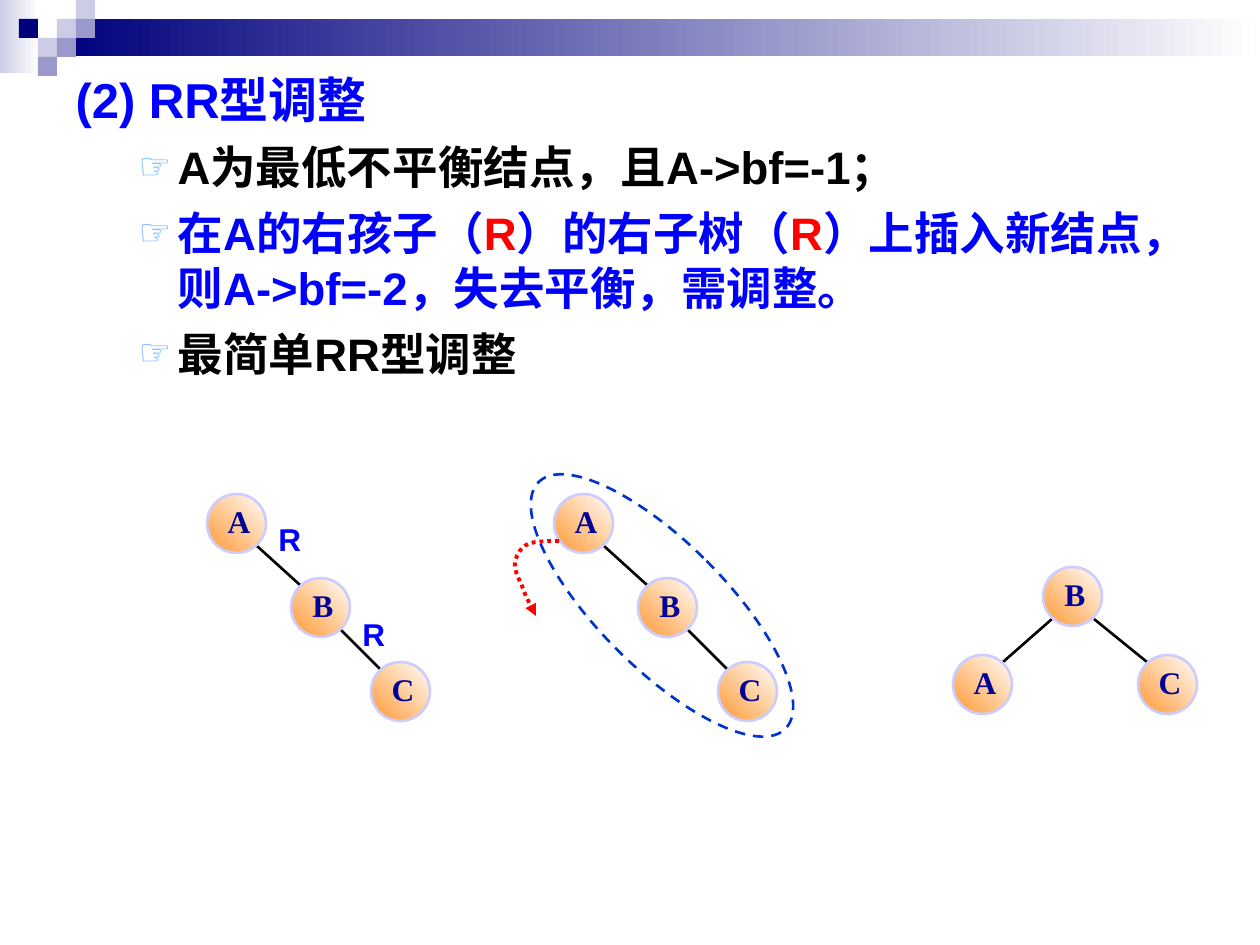
from lxml.etree import SubElement
from pptx import Presentation
from pptx.dml.color import RGBColor
from pptx.enum.dml import MSO_LINE
from pptx.enum.shapes import MSO_CONNECTOR, MSO_SHAPE as SHAPE
from pptx.enum.text import MSO_ANCHOR, MSO_AUTO_SIZE, PP_ALIGN
from pptx.oxml.ns import qn
from pptx.util import Emu, Pt

SCALE = 914400 / 126


def px(*lengths):
    """Turn pixel lengths into a list of EMU."""
    return [Emu(round(v * SCALE)) for v in lengths]


def color(target, *hexes):
    """Give a font, line or fill one colour, or a fill a gradient of two."""
    if len(hexes) == 2:
        target.gradient()
        for stop, value in zip(target.gradient_stops, hexes):
            stop.color.rgb = RGBColor.from_string(value)
        for stop, position in zip(target.gradient_stops, (0, 1)):
            stop.position = position
        return
    if hasattr(target, "solid"):
        target.solid()
    place = target.fore_color if hasattr(target, "fore_color") else target.color
    place.rgb = RGBColor.from_string(hexes[0])


prs = Presentation()
prs.slide_width, prs.slide_height = px(1260, 945)
s = prs.slides.add_slide(prs.slide_layouts[1])
title = s.shapes.title
title.element.getparent().remove(title.element)
body = s.placeholders[1]

# Header: two fading bands and a mosaic on a 19 px grid
NAVY, MID, LIGHT, WHITE = "00007D", "9999CC", "CCCCE6", "FFFFFF"
header = [((0, 0, 39, 73), (LIGHT, WHITE)), ((57, 19, 1203, 37), (NAVY, WHITE))]
for col, row, shade in [(3, 1, LIGHT), (4, 0, LIGHT), (4, 1, MID), (2, 2, LIGHT),
                        (1, 1, NAVY), (3, 2, MID), (2, 3, MID)]:
    header.append(((col * 19, row * 19, 19, 19), (shade,)))
for box, shades in header:
    sp = s.shapes.add_shape(SHAPE.RECTANGLE, *px(*box))
    sp.shadow.inherit = False
    color(sp.fill, *shades)
    if len(shades) == 2:
        sp.fill.gradient_angle = 0
    sp.line.fill.background()

# Body text
BLUE, RED, BLACK = "0000FF", "FF0000", "000000"
paragraphs = [
    [("(2) RR型调整", BLUE)],
    [("A为最低不平衡结点，且A->bf=-1；", BLACK)],
    [("在A的右孩子（", BLUE), ("R", RED), ("）的右子树（", BLUE), ("R", RED),
     ("）上插入新结点，则A->bf=-2，失去平衡，需调整。", BLUE)],
    [("最简单RR型调整", BLACK)],
]
body.left, body.top, body.width, body.height = px(63, 63, 1134, 882)
tf = body.text_frame
tf.word_wrap = True
tf.auto_size = MSO_AUTO_SIZE.NONE
for i, runs in enumerate(paragraphs):
    p = tf.add_paragraph() if i else tf.paragraphs[0]
    pPr = p._p.get_or_add_pPr()
    left, hang = px(102, -39) if i else px(48, -48)
    pPr.set("marL", str(left))
    pPr.set("indent", str(hang))
    if i:
        p.level = 1
        SubElement(SubElement(pPr, qn("a:buClr")), qn("a:srgbClr"), val="67AFFF")
        SubElement(pPr, qn("a:buSzPct"), val="80000")
        SubElement(pPr, qn("a:buChar"), char="☞")
    else:
        SubElement(pPr, qn("a:buNone"))
    p.space_before = Pt(6.5 if i else 0)
    for text, shade in runs:
        r = p.add_run()
        r.text = text
        r.font.name, r.font.size, r.font.bold = "Arial", Pt(26 if i else 28), True
        color(r.font, shade)

# Trees: the unbalanced chain twice, then the balanced result
chain_nodes = [("A", 207, 494), ("B", 291, 578), ("C", 371, 662)]
chain_edges = [(300, 585, 257, 546), (380, 669, 341, 630)]
result_nodes = [("A", 953, 655), ("B", 1043, 567), ("C", 1138, 655)]
result_edges = [(1003, 662, 1052, 619), (1094, 619, 1147, 662)]
trees = [(0, chain_nodes, chain_edges), (347, chain_nodes, chain_edges),
         (0, result_nodes, result_edges)]
for shift, nodes, edges in trees:
    for x1, y1, x2, y2 in edges:
        edge = s.shapes.add_connector(
            MSO_CONNECTOR.STRAIGHT, *px(x1 + shift, y1, x2 + shift, y2))
        SubElement(edge._element.spPr, qn("a:effectLst"))
        edge.line.width = Pt(1.5)
        color(edge.line, BLACK)
    for name, x, y in nodes:
        node = s.shapes.add_shape(SHAPE.OVAL, *px(x + shift, y, 59, 59))
        node.shadow.inherit = False
        color(node.fill, "FF9933", WHITE)
        node.fill.gradient_angle = 45
        node.line.width = Pt(1.5)
        color(node.line, "CCCCFF")
        tf = node.text_frame
        tf.word_wrap = False
        tf.vertical_anchor = MSO_ANCHOR.MIDDLE
        tf.margin_left, tf.margin_top, tf.margin_right, tf.margin_bottom = px(18, 1, 13, 6)
        p = tf.paragraphs[0]
        p.alignment = PP_ALIGN.CENTER
        r = p.add_run()
        r.text = name
        r.font.name, r.font.size, r.font.bold = "Times New Roman", Pt(18), True
        color(r.font, "000099")

# Labels on the edges of the first chain
for x, y in [(266, 514), (350, 609)]:
    tf = s.shapes.add_textbox(*px(x, y, 48, 50)).text_frame
    tf.word_wrap = False
    tf.auto_size = MSO_AUTO_SIZE.SHAPE_TO_FIT_TEXT
    r = tf.paragraphs[0].add_run()
    r.text = "R"
    r.font.name, r.font.size, r.font.bold = "Arial", Pt(18), True
    color(r.font, BLUE)

# Dashed ring around the second chain
ring = s.shapes.add_shape(SHAPE.OVAL, *px(599, 431, 126, 349))
ring.rotation = 135
ring.shadow.inherit = False
ring.fill.background()
ring.line.width = Pt(1.5)
color(ring.line, "0033CC")
ring.line.dash_style = MSO_LINE.DASH

# Rotation arrow: every three points after the start make one Bézier curve
builder = s.shapes.build_freeform(559, 541, scale=SCALE)
builder.add_line_segments([
    (554, 541), (534, 541), (528, 544), (520, 548), (517, 554), (515, 562),
    (514, 570), (518, 577), (522, 586), (525, 595), (533, 610), (536, 616),
], close=False)
arrow = builder.convert_to_shape()
segments = list(arrow._element.iter(qn("a:lnTo")))
outline = segments[0].getparent()
for k in range(0, len(segments), 3):
    curve = SubElement(outline, qn("a:cubicBezTo"))
    for segment in segments[k:k + 3]:
        curve.append(segment[0])
        outline.remove(segment)
arrow.shadow.inherit = False
arrow.fill.background()
arrow.line.width = Pt(2.25)
color(arrow.line, RED)
arrow.line.dash_style = MSO_LINE.ROUND_DOT
SubElement(arrow.line._get_or_add_ln(), qn("a:tailEnd"), type="triangle")

prs.save("out.pptx")
